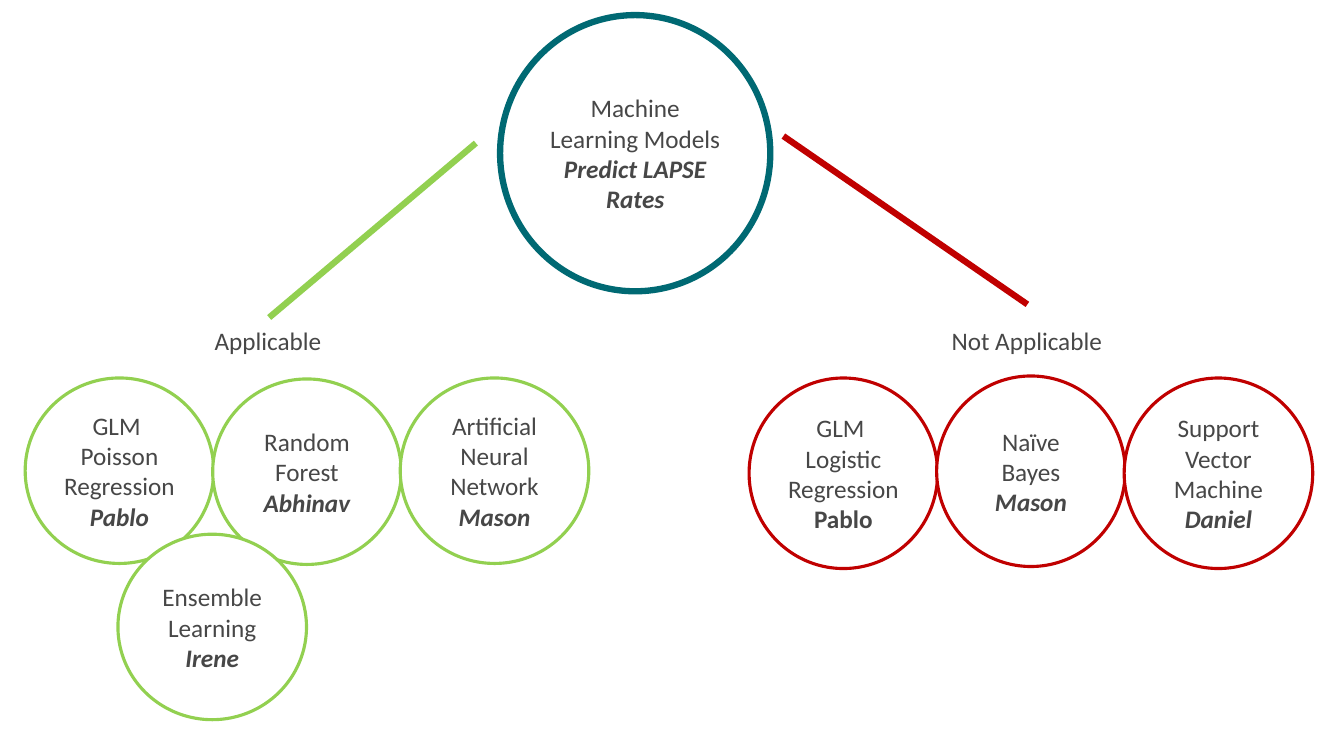
from lxml import etree
from pptx import Presentation
from pptx import util as u
from pptx.dml.color import RGBColor
from pptx.enum import shapes, text
from pptx.oxml.ns import qn

COLORS = {
    "text": "474747",
    "white": "FFFFFF",
    "root": "006973",
    "applicable": "92D050",
    "rejected": "C00000",
}
FONT = "Calibri"
CIRCLE_WIDTH = 1.87
CIRCLE_STEP = 1.86


def rgb(name):
    return RGBColor.from_string(COLORS[name])


def add_span(para, words, *, size=18, bold=False, italic=False, color="text"):
    span = para.add_run()
    span.text = words
    span.font.name = FONT
    span.font.size = u.Pt(size)
    span.font.bold = bold
    span.font.italic = italic
    span.font.color.rgb = rgb(color)


def add_circle(page, left, top, width, height, color, lines, weight=2.25):
    """Each line is a list of (words, format) spans."""
    circle = page.shapes.add_shape(
        shapes.MSO_SHAPE.OVAL,
        u.Inches(left), u.Inches(top), u.Inches(width), u.Inches(height))
    circle.shadow.inherit = False
    circle.fill.solid()
    circle.fill.fore_color.rgb = rgb("white")
    circle.line.color.rgb = rgb(color)
    circle.line.width = u.Pt(weight)
    frame = circle.text_frame
    frame.word_wrap = True
    frame.vertical_anchor = text.MSO_ANCHOR.MIDDLE
    for index, spans in enumerate(lines):
        para = frame.add_paragraph() if index else frame.paragraphs[0]
        para.alignment = text.PP_ALIGN.CENTER
        for words, style in spans:
            add_span(para, words, **style)


def add_label(page, left, top, width, words):
    box = page.shapes.add_textbox(
        u.Inches(left), u.Inches(top), u.Inches(width), u.Inches(0.4))
    frame = box.text_frame
    frame.word_wrap = True
    frame.auto_size = text.MSO_AUTO_SIZE.SHAPE_TO_FIT_TEXT
    add_span(frame.paragraphs[0], words)


def add_branch(page, start, end, color):
    branch = page.shapes.add_connector(
        shapes.MSO_CONNECTOR.STRAIGHT, *map(u.Inches, start + end))
    branch.line.color.rgb = rgb(color)
    branch.line.width = u.Pt(4.5)
    etree.SubElement(branch._element.spPr, qn("a:effectLst"))


def add_model_row(page, left, height, color, models):
    for index, (top, lines) in enumerate(models):
        add_circle(page, left + index * CIRCLE_STEP, top,
                   CIRCLE_WIDTH, height, color, lines)


def main():
    deck = Presentation()
    deck.slide_width, deck.slide_height = u.Inches(13.33), u.Inches(7.5)
    page = deck.slides.add_slide(deck.slide_layouts[6])
    plain, bold = {}, {"bold": True}
    owner = {"bold": True, "italic": True}

    # Root of the tree
    add_circle(page, 4.96, 0.15, 2.68, 2.74, "root",
               [[("Machine Learning Models", plain)],
                [("Predict LAPSE Rates", owner)]], weight=4.5)

    # Branches and their labels
    add_label(page, 2.03, 3.18, 1.41, "Applicable")
    add_label(page, 9.34, 3.18, 3, "Not Applicable")
    add_branch(page, (7.77, 1.35), (10.19, 3.02), "rejected")
    add_branch(page, (4.72, 1.42), (2.67, 3.15), "applicable")

    # Applicable models
    add_model_row(page, 0.25, 1.84, "applicable", [
        (3.75, [[("GLM ", plain)], [("Poisson Regression", plain)],
                [("Pablo", owner)]]),
        (3.76, [[("Random Forest", plain)], [("Abhinav", owner)]]),
        (3.75, [[("Artificial Neural Network", plain)], [("Mason", owner)]]),
    ])

    # Models that are not applicable
    add_model_row(page, 7.43, 1.89, "rejected", [
        (3.75, [[("GLM ", plain)], [("Logistic Regression", plain)],
                [("Pablo", bold)]]),
        (3.73, [[("Naïve Bayes", plain)], [("Mason", owner)]]),
        (3.75, [[("Support Vector Machine", plain)], [("Daniel", owner)]]),
    ])

    # Ensemble in front of the applicable models
    add_circle(page, 1.17, 5.3, CIRCLE_WIDTH, 1.84, "applicable",
               [[("Ensemble Learning", plain), (" Irene", owner)]])

    deck.save("out.pptx")


if __name__ == "__main__":
    main()
